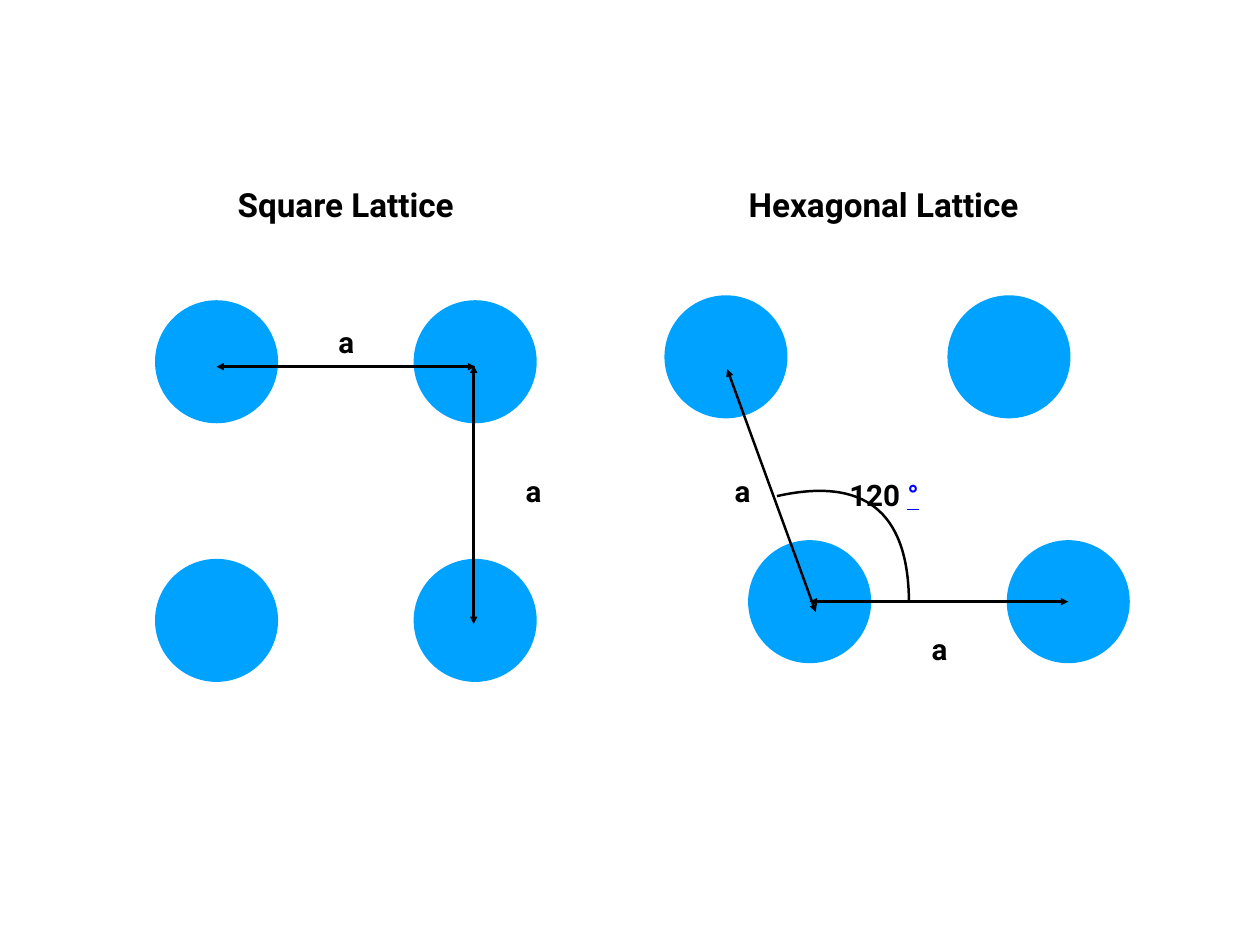
from pptx import Presentation
from pptx import util as u
from pptx.dml.color import RGBColor
from pptx.enum import shapes, text
from pptx.oxml import parse_xml
from pptx.oxml.ns import nsdecls, qn

BLACK, BLUE, LINK = "000000", "00A2FF", "0000FF"
DOT, PITCH = 100, 210.2


def tint(code):
    return RGBColor.from_string(code)


def dot(slide, x, y):
    disc = slide.shapes.add_shape(
        shapes.MSO_SHAPE.OVAL, u.Pt(x), u.Pt(y), u.Pt(DOT), u.Pt(DOT))
    disc.shadow.inherit = False
    disc.fill.solid()
    disc.fill.fore_color.rgb = tint(BLUE)
    disc.line.fill.background()


def label(slide, words, x, y, w=23, h=36, size=24, wrap=False, mark=""):
    """Write centred bold words; mark is an underlined coloured ending."""
    box = slide.shapes.add_textbox(u.Pt(x), u.Pt(y), u.Pt(w), u.Pt(h))
    frame = box.text_frame
    frame.word_wrap = wrap
    frame.vertical_anchor = text.MSO_ANCHOR.MIDDLE
    frame.margin_left = frame.margin_right = u.Pt(4)
    frame.margin_top = frame.margin_bottom = u.Pt(4)
    para = frame.paragraphs[0]
    para.alignment = text.PP_ALIGN.CENTER
    parts = [(words, BLACK, None)]
    if mark:
        parts.append((mark, LINK, True))
    for part, color, under in parts:
        run = para.add_run()
        run.text = part
        run.font.name = "Roboto"
        run.font.size = u.Pt(size)
        run.font.bold = True
        run.font.underline = under
        run.font.color.rgb = tint(color)


def ink(line):
    line.color.rgb = tint(BLACK)
    line.width = u.Pt(2)


def arrow(slide, x1, y1, x2, y2):
    """Draw a line with a head at both ends."""
    link = slide.shapes.add_connector(
        shapes.MSO_CONNECTOR.STRAIGHT, u.Pt(x1), u.Pt(y1), u.Pt(x2), u.Pt(y2))
    ink(link.line)
    stroke = link.line._get_or_add_ln()
    for end in ("headEnd", "tailEnd"):
        stroke.append(parse_xml(f'<a:{end} {nsdecls("a")} type="triangle"/>'))
    link._element.spPr.append(parse_xml(f'<a:effectLst {nsdecls("a")}/>'))


def arc(slide, start, *rest):
    """Draw one cubic curve from start through two handles to its end."""
    pen = slide.shapes.build_freeform(
        u.Pt(start[0]), u.Pt(start[1]), scale=1.0)
    pen.add_line_segments([(u.Pt(x), u.Pt(y)) for x, y in rest], close=False)
    curve = pen.convert_to_shape()
    curve.shadow.inherit = False
    curve.fill.background()
    ink(curve.line)
    route = curve._element.xpath(".//a:path")[0]
    bend = parse_xml(f'<a:cubicBezTo {nsdecls("a")}/>')
    for step in route.findall(qn("a:lnTo")):
        bend.append(step[0])
        route.remove(step)
    route.append(bend)


def square(slide, x, y):
    label(slide, "Square Lattice", x + 57, y, 196, 40, size=27)
    for row in range(2):
        for col in range(2):
            dot(slide, x + col * PITCH, y + 98 + row * PITCH)
    arrow(slide, x + 50, y + 152, x + 50 + PITCH, y + 152)
    arrow(slide, x + 259, y + 151 + PITCH, x + 259, y + 151)
    label(slide, "a", x + 144, y + 114)
    label(slide, "a", x + 296, y + 235)


def hexagon(slide, x, y):
    label(slide, "Hexagonal Lattice", x + 57, y, 242, 40, size=27)
    for left, top, gap in ((0, 94, 230), (68, 293, PITCH)):
        for col in range(2):
            dot(slide, x + left + col * gap, y + top)
    arrow(slide, x + 118, y + 343, x + 118 + PITCH, y + 343)
    arrow(slide, x + 123, y + 351.5, x + 51, y + 154)
    label(slide, "a", x + 52, y + 235)
    label(slide, "a", x + 212, y + 363)
    arc(slide, (x + 198.7, y + 342.2), (x + 198, y + 269.4),
        (x + 162, y + 241.4), (x + 91.4, y + 257.2))
    label(slide, "120 ", x + 144, y + 223, 69, 66, wrap=True, mark="°")


def main():
    deck = Presentation()
    deck.slide_width, deck.slide_height = u.Pt(1024), u.Pt(768)
    slide = deck.slides.add_slide(deck.slide_layouts[6])
    square(slide, 126, 146)
    hexagon(slide, 540, 146)
    deck.save("out.pptx")


if __name__ == "__main__":
    main()
